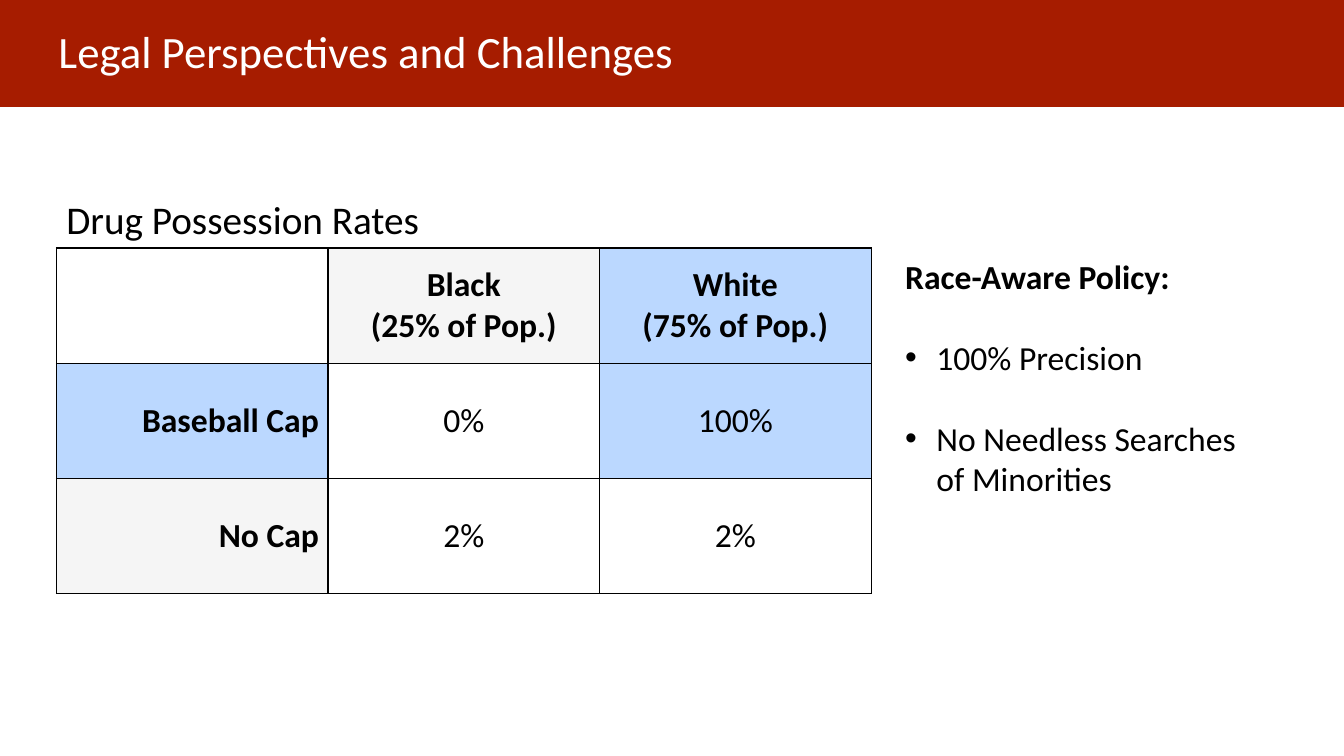
"""Build a slide on drug possession rates and a race-aware policy."""
from lxml.etree import SubElement
from pptx import Presentation
from pptx.dml.color import RGBColor
from pptx.enum.shapes import MSO_SHAPE
from pptx.enum.text import MSO_ANCHOR, PP_ALIGN
from pptx.oxml.ns import qn
from pptx.util import Pt

EMU_PER_PX = 9144
FONT = "Calibri"
COLORS = {
    "band": "A61C00",
    "white": "FFFFFF",
    "black": "000000",
    "grey": "F5F5F5",
    "blue": "BBD8FF",
}
RATES = [
    [
        ([], None, None, False),
        (["Black", "(25% of Pop.)"], "grey", PP_ALIGN.CENTER, True),
        (["White", "(75% of Pop.)"], "blue", PP_ALIGN.CENTER, True),
    ],
    [
        (["Baseball Cap"], "blue", PP_ALIGN.RIGHT, True),
        (["0%"], "white", PP_ALIGN.CENTER, False),
        (["100%"], "blue", PP_ALIGN.CENTER, False),
    ],
    [
        (["No Cap"], "grey", PP_ALIGN.RIGHT, True),
        (["2%"], None, PP_ALIGN.CENTER, False),
        (["2%"], None, PP_ALIGN.CENTER, False),
    ],
]
POLICY_POINTS = [["100% Precision"], ["No Needless Searches ", "of Minorities"]]


def px(length):
    """Turn pixels into EMU."""
    return length * EMU_PER_PX


def color(name):
    """Look up a named colour."""
    return RGBColor.from_string(COLORS[name])


def add_span(para, text, size, bold=False, ink="black"):
    """Add one formatted run."""
    span = para.add_run()
    span.text = text
    span.font.name = FONT
    span.font.size = Pt(size)
    span.font.bold = bold
    span.font.color.rgb = color(ink)


def next_para(frame, index):
    """Return the first paragraph of a frame, or a new one after it."""
    return frame.add_paragraph() if index else frame.paragraphs[0]


def add_bullet(para, indent):
    """Give a paragraph a hanging bullet."""
    properties = para._p.get_or_add_pPr()
    properties.set("marL", str(px(indent)))
    properties.set("indent", str(-px(indent)))
    SubElement(properties, qn("a:buFont"), typeface="Arial")
    SubElement(properties, qn("a:buChar"), char="•")


def add_borders(cell):
    """Draw a thin black line on each side of a cell."""
    properties = cell._tc.get_or_add_tcPr()
    for side in ("a:lnL", "a:lnR", "a:lnT", "a:lnB"):
        line = SubElement(properties, qn(side), w=str(Pt(1)))
        fill = SubElement(line, qn("a:solidFill"))
        SubElement(fill, qn("a:srgbClr"), val=COLORS["black"])


def add_title(page, text):
    """Place the title on its coloured band."""
    title = page.shapes.title
    title.left, title.top, title.width, title.height = map(px, (45, 9, 1242, 83))
    frame = title.text_frame
    frame.word_wrap = True
    frame.vertical_anchor = MSO_ANCHOR.MIDDLE
    frame.margin_left = frame.margin_right = px(13)
    frame.margin_top = frame.margin_bottom = px(13)
    para = frame.paragraphs[0]
    para.alignment = PP_ALIGN.LEFT
    add_span(para, text, 32, ink="white")

    band = page.shapes.add_shape(MSO_SHAPE.RECTANGLE, *map(px, (-2, -4, 1336, 110)))
    band.shadow.inherit = False
    band.fill.solid()
    band.fill.fore_color.rgb = color("band")
    band.line.fill.background()
    title.element.addprevious(band.element)


def fill_cell(cell, lines, fill, alignment, bold):
    """Format one table cell and write its lines."""
    add_borders(cell)
    if fill:
        cell.fill.solid()
        cell.fill.fore_color.rgb = color(fill)
    else:
        cell.fill.background()
    cell.vertical_anchor = MSO_ANCHOR.MIDDLE
    cell.margin_left = cell.margin_right = px(9)
    cell.margin_top = cell.margin_bottom = px(5)
    for index, text in enumerate(lines):
        para = next_para(cell.text_frame, index)
        para.alignment = alignment
        add_span(para, text, 24, bold)


def add_rate_table(page):
    """Add the table of possession rates."""
    frame = page.shapes.add_table(
        len(RATES), len(RATES[0]), *map(px, (56, 246, 808, 343))
    )
    table = frame.table
    table.first_row = False
    table.horz_banding = False
    for row, values in enumerate(RATES):
        for column, value in enumerate(values):
            fill_cell(table.cell(row, column), *value)


def add_text_box(page, *place):
    """Add a wrapping text box and return its frame."""
    box = page.shapes.add_textbox(*map(px, place))
    box.text_frame.word_wrap = True
    return box.text_frame


def add_policy(page):
    """Add the policy heading and its bullets."""
    frame = add_text_box(page, 888, 249, 406, 252)
    add_span(frame.paragraphs[0], "Race-Aware Policy:", 24, bold=True)
    for lines in POLICY_POINTS:
        para = frame.add_paragraph()
        add_bullet(para, 31)
        para.space_before = Pt(29)
        para.font.size = Pt(24)
        for index, text in enumerate(lines):
            if index:
                para.add_line_break()
            add_span(para, text, 24)


def main():
    """Build and save the deck."""
    deck = Presentation()
    deck.slide_width, deck.slide_height = px(1333), px(750)
    page = deck.slides.add_slide(deck.slide_layouts[5])
    add_title(page, "Legal Perspectives and Challenges")
    add_rate_table(page)
    caption = add_text_box(page, 56, 189, 435, 57)
    add_span(caption.paragraphs[0], "Drug Possession Rates", 28)
    add_policy(page)
    deck.save("out.pptx")


if __name__ == "__main__":
    main()
